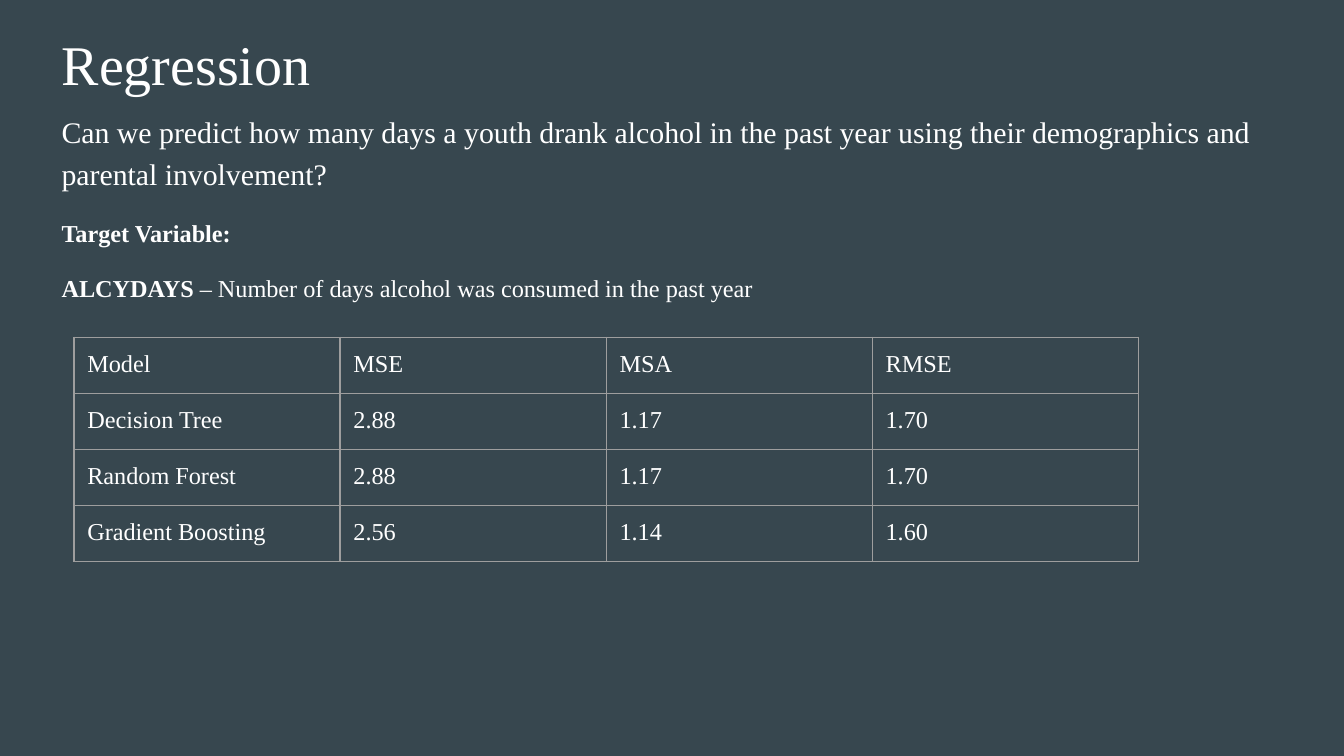
from lxml.etree import SubElement
from pptx import Presentation
from pptx.dml.color import RGBColor
from pptx.enum.text import MSO_ANCHOR as Anchor, MSO_AUTO_SIZE as Fit, PP_ALIGN as Align
from pptx.oxml.ns import qn
from pptx.util import Inches, Pt

BACK = RGBColor(0x37, 0x47, 0x4F)
WHITE = RGBColor(0xFF, 0xFF, 0xFF)
GREY = RGBColor(0x9E, 0x9E, 0x9E)
FONT = "Times New Roman"
PAD = Inches(0.1)

TITLE = "Regression"
# Each paragraph: size, then runs of (text, bold)
BODY = [
    (16, [("Can we predict how many days a youth drank alcohol in the past year "
           "using their demographics and parental involvement?", False)]),
    (13, [("Target Variable:", True)]),
    (13, [("ALCYDAYS", True),
          (" – Number of days alcohol was consumed in the past year", False)]),
]
SCORES = [
    ("Model", "MSE", "MSA", "RMSE"),
    ("Decision Tree", "2.88", "1.17", "1.70"),
    ("Random Forest", "2.88", "1.17", "1.70"),
    ("Gradient Boosting", "2.56", "1.14", "1.60"),
]
WIDTH = Inches(10)
COL, ROW = Inches(1.98), Inches(5 / 12)


def write(para, text, size=13, bold=False):
    run = para.add_run()
    run.text = text
    font = run.font
    font.name, font.size, font.bold = FONT, Pt(size), bold
    font.color.rgb = WHITE
    para.alignment = Align.LEFT


def inset(area):
    """Set equal margins on a text frame or a table cell."""
    area.margin_left = area.margin_right = PAD
    area.margin_top = area.margin_bottom = PAD


def border(cell):
    props = cell._tc.get_or_add_tcPr()
    for i, side in enumerate(("lnL", "lnR", "lnT", "lnB")):
        line = props.makeelement(qn(f"a:{side}"), {"w": str(Pt(0.75))})
        fill = SubElement(line, qn("a:solidFill"))
        SubElement(fill, qn("a:srgbClr"), val=str(GREY))
        props.insert(i, line)


deck = Presentation()
deck.slide_width, deck.slide_height = WIDTH, WIDTH * 9 // 16
slide = deck.slides.add_slide(deck.slide_layouts[5])
slide.background.fill.solid()
slide.background.fill.fore_color.rgb = BACK

title = slide.shapes.title
title.left, title.top = Inches(0.36), Inches(0)
title.width, title.height = Inches(8.59), Inches(0.94)
frame = title.text_frame
inset(frame)
frame.vertical_anchor = Anchor.MIDDLE
write(frame.paragraphs[0], TITLE, size=30)

box = slide.shapes.add_textbox(Inches(0.36), Inches(0.71), Inches(9.08), Inches(2.1))
frame = box.text_frame
inset(frame)
frame.word_wrap = True
frame.auto_size = Fit.SHAPE_TO_FIT_TEXT
for i, (size, runs) in enumerate(BODY):
    para = frame.add_paragraph() if i else frame.paragraphs[0]
    para.line_spacing, para.space_before = 1.15, Pt(12)
    for text, bold in runs:
        write(para, text, size=size, bold=bold)

rows, cols = len(SCORES), len(SCORES[0])
table = slide.shapes.add_table(
    rows, cols, Inches(0.55), Inches(2.51), COL * cols, ROW * rows).table
table.first_row = table.horz_banding = False
for col in table.columns:
    col.width = COL
for row, texts in zip(table.rows, SCORES):
    row.height = ROW
    for cell, text in zip(row.cells, texts):
        inset(cell)
        cell.fill.background()
        border(cell)
        write(cell.text_frame.paragraphs[0], text)

deck.save("out.pptx")
